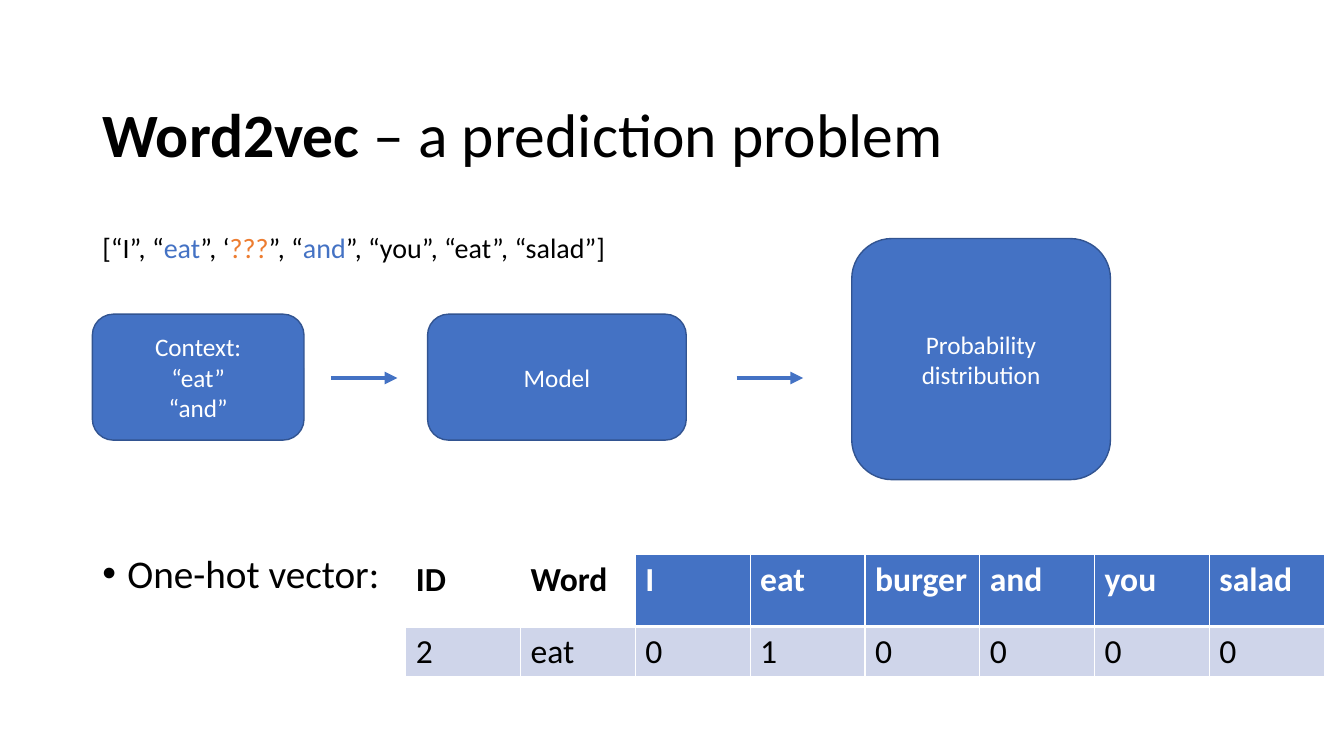
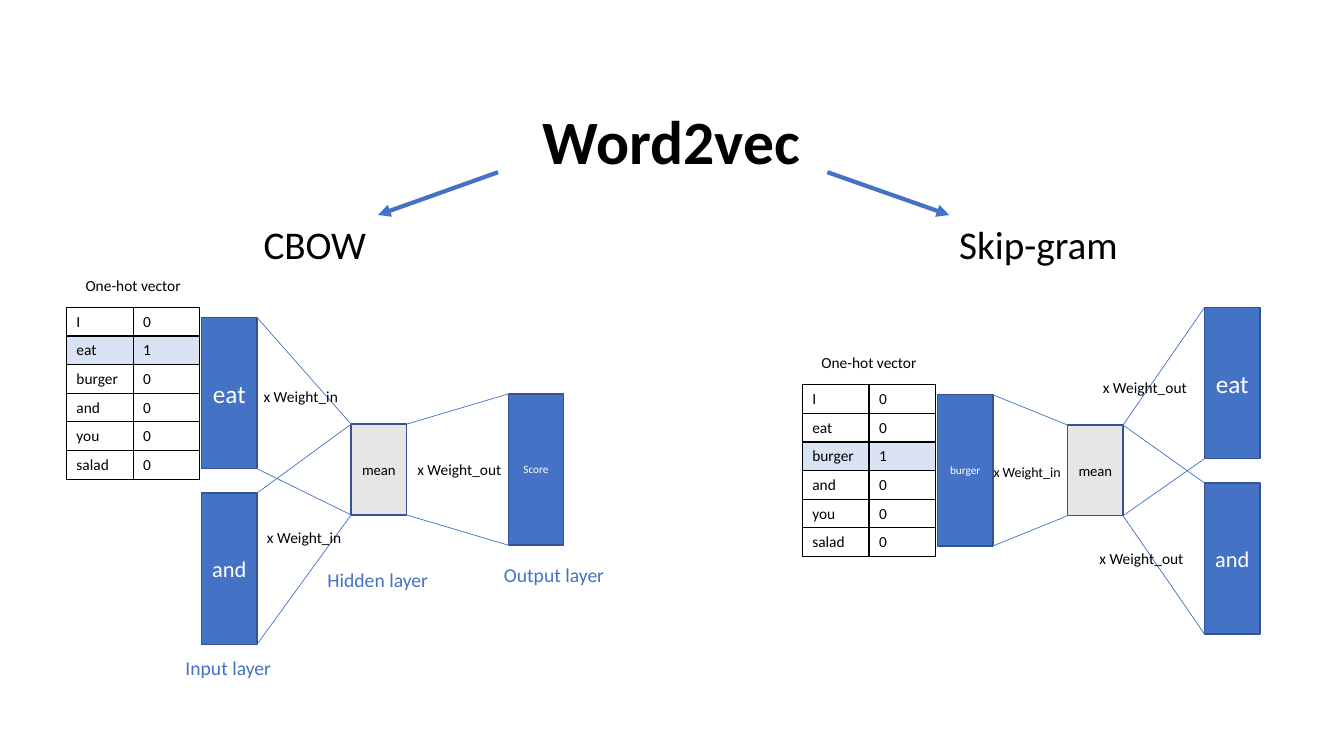
from dataclasses import dataclass

from lxml import etree
from pptx import Presentation
from pptx import util as u
from pptx.dml.color import RGBColor
from pptx.enum import shapes, text
from pptx.oxml import ns

# The slide is a grid of 160 columns by 90 rows; all lengths count its cells.
COLUMNS, ROWS, CELL = 160, 90, u.Inches(1) // 12


@dataclass(frozen=True)
class Theme:
    font: str = "Calibri"
    ink: str = "000000"
    paper: str = "FFFFFF"
    blue: str = "4472C4"
    edge: str = "325491"
    orange: str = "ED7D31"
    gray: str = "E7E6E6"
    band: str = "CFD5EA"
    highlight: str = "DAE3F3"
    title: float = 44
    heading: float = 28
    table: float = 24
    sentence: float = 20
    body: float = 18
    unit: float = 16
    layer: float = 14
    label: float = 11
    small_label: float = 10
    mean: float = 10.5
    tiny: float = 8


THEME = Theme()


def grid(*lengths):
    return [u.Emu(round(length * CELL)) for length in lengths]


def rgb(color):
    return RGBColor.from_string(color)


def add_xml(parent, tag, **attributes):
    return etree.SubElement(parent, ns.qn(tag), **attributes)


def write(frame, content, size, color=THEME.ink, bold=False, align="LEFT",
          spacing=None, bullet=False):
    """Write a string, one paragraph a line, or one paragraph of (text, changes) spans."""
    lines = content.split("\n") if isinstance(content, str) else [content]
    for index, line in enumerate(lines):
        para = frame.add_paragraph() if index else frame.paragraphs[0]
        para.alignment = getattr(text.PP_ALIGN, align)
        if spacing:
            para.line_spacing = spacing
        if bullet:
            properties = para._p.get_or_add_pPr()
            properties.set("marL", str(u.Inches(0.25)))
            properties.set("indent", str(-u.Inches(0.25)))
            add_xml(properties, "a:buFont", typeface="Arial")
            add_xml(properties, "a:buChar", char="•")
        for words, changes in [(line, {})] if isinstance(line, str) else line:
            style = {"color": color, "bold": bold, **changes}
            span = para.add_run()
            span.text = words
            span.font.name, span.font.size = THEME.font, u.Pt(size)
            span.font.bold = style["bold"]
            span.font.color.rgb = rgb(style["color"])


def set_borders(cell, color, **widths):
    """Draw the four sides, 1 pt unless widths names another for L, R, T or B."""
    properties = cell._tc.get_or_add_tcPr()
    for index, side in enumerate("LRTB"):
        line = etree.Element(ns.qn(f"a:ln{side}"), w=str(u.Pt(widths.get(side, 1))))
        add_xml(add_xml(line, "a:solidFill"), "a:srgbClr", val=color)
        properties.insert(index, line)


class Board:
    """The deck's style together with the slide being drawn."""

    def __init__(self):
        self.deck = Presentation()
        self.deck.slide_width, self.deck.slide_height = grid(COLUMNS, ROWS)
        self.page = None

    def new_page(self, title, left, top, width, height):
        self.page = self.deck.slides.add_slide(self.deck.slide_layouts[5])
        box = self.page.shapes.title
        box.left, box.top, box.width, box.height = grid(left, top, width, height)
        frame = box.text_frame
        frame.auto_size = text.MSO_AUTO_SIZE.NONE
        frame.vertical_anchor = text.MSO_ANCHOR.MIDDLE
        write(frame, title, THEME.title, spacing=0.9)

    def label(self, content, left, top, width, height, size=THEME.label,
              wrap=False, **style):
        box = self.page.shapes.add_textbox(*grid(left, top, width, height))
        frame = box.text_frame
        frame.word_wrap = wrap
        if not wrap:
            frame.auto_size = text.MSO_AUTO_SIZE.SHAPE_TO_FIT_TEXT
        write(frame, content, size, **style)

    def block(self, content, left, top, width, height, size=THEME.body,
              kind="RECTANGLE", fill=THEME.blue, color=THEME.paper, wrap=False):
        box = self.page.shapes.add_shape(
            getattr(shapes.MSO_SHAPE, kind), *grid(left, top, width, height))
        box.shadow.inherit = False
        box.fill.solid()
        box.fill.fore_color.rgb = rgb(fill)
        box.line.color.rgb = rgb(THEME.edge)
        box.line.width = u.Pt(1)
        box.text_frame.word_wrap = wrap
        box.text_frame.vertical_anchor = text.MSO_ANCHOR.MIDDLE
        write(box.text_frame, content, size, color=color, align="CENTER")
        return left, top, width, height

    def line(self, start, end, width=0.5, arrow=False):
        connector = self.page.shapes.add_connector(
            shapes.MSO_CONNECTOR.STRAIGHT, *grid(*start, *end))
        connector.line.color.rgb = rgb(THEME.blue)
        connector.line.width = u.Pt(width)
        properties = connector._element.spPr
        if arrow:
            add_xml(properties.find(ns.qn("a:ln")), "a:tailEnd", type="triangle")
        add_xml(properties, "a:effectLst")

    def arrow(self, start, end):
        self.line(start, end, width=3, arrow=True)

    def link(self, source, target):
        """Join the facing corners of two units, top to top and bottom to bottom."""
        left, top, width, height = source
        for share in (0, 1):
            self.line((left + width, top + share * height),
                      (target[0], target[1] + share * target[3]))

    def neuron(self, word, left, top, size=THEME.body):
        return self.block(word, left, top, 6.6, 18, size=size)

    def mean(self, left, top):
        return self.block("mean", left, top, 6.6, 10.8, size=THEME.mean,
                          fill=THEME.gray, color=THEME.ink)

    def table(self, rows, left, top, column, heights):
        """Add a plain table and yield its cells as (row, column, cell)."""
        count = len(rows[0])
        frame = self.page.shapes.add_table(
            len(rows), count, *grid(left, top, column * count, sum(heights)))
        table = frame.table
        table.first_row = table.horz_banding = False
        for each in table.columns:
            each.width = grid(column)[0]
        for row, height in enumerate(heights):
            table.rows[row].height = grid(height)[0]
            for index in range(count):
                yield row, index, table.cell(row, index)

    def word_table(self, rows, left, top, column, heights):
        for row, index, cell in self.table(rows, left, top, column, heights):
            header, colored = row == 0, row == 0 and index > 1
            cell.fill.solid()
            cell.fill.fore_color.rgb = rgb(
                THEME.blue if colored else THEME.paper if header else THEME.band)
            set_borders(cell, THEME.paper, **({"B": 3} if header else {"T": 3}))
            write(cell.text_frame, rows[row][index], THEME.table, bold=header,
                  color=THEME.paper if colored else THEME.ink)

    def one_hot(self, hot, left, top):
        rows = [(word, str(int(word == hot))) for word in VOCABULARY]
        for row, index, cell in self.table(rows, left, top, 7.95, [3.4] * len(rows)):
            if rows[row][0] == hot:
                cell.fill.solid()
                cell.fill.fore_color.rgb = rgb(THEME.highlight)
            else:
                cell.fill.background()
            set_borders(cell, THEME.ink)
            write(cell.text_frame, rows[row][index], THEME.label)
        self.label("One-hot vector", left + 1.1, top - 4.3, 13.8, 3.5)


VOCABULARY = ["I", "eat", "burger", "and", "you", "salad"]


def prediction_page(board):
    board.new_page([("Word2vec", {"bold": True}), (" – a prediction problem", {})],
                   11, 10.7, 138, 11.4)
    board.label("One-hot vector:", 11, 65.4, 138, 15.6, size=THEME.heading,
                wrap=True, spacing=0.9, bullet=True)
    board.word_table([["ID", "Word", *VOCABULARY],
                      ["2", "eat", *(str(int(word == "eat")) for word in VOCABULARY)]],
                     48.3, 66, 13.67, [8.6, 6])

    # Context, model and prediction
    for content, left, top, width, height in [
            ("Context:\n“eat”\n“and”", 11, 37.4, 25.2, 15),
            ("Model", 50.9, 37.4, 30.8, 15),
            ("Probability distribution", 101.4, 28.4, 30.8, 28.7)]:
        board.block(content, left, top, width, height,
                    kind="ROUNDED_RECTANGLE", wrap=True)
    for left in (39.4, 87.7):
        board.arrow((left, 45), (left + 7.9, 45))

    # Sentence with the missing word
    context, missing = {"color": THEME.blue}, {"color": THEME.orange}
    board.label([("[“I”, “", {}), ("eat", context), ("”, ‘", {}), ("???", missing),
                 ("”, “", {}), ("and", context),
                 ("”, “you”, “eat”, “salad”]", {})],
                11, 26.9, 62.8, 5.3, size=THEME.sentence)


def architecture_page(board):
    board.new_page([("Word2vec", {"bold": True})], 63.4, 11.5, 85, 11.5)
    board.label("CBOW", 30.2, 25.6, 14.8, 6.8, size=THEME.heading)
    board.label("Skip-gram", 113, 25.6, 21.5, 6.8, size=THEME.heading)
    board.arrow((59.3, 20.5), (45, 25.6))
    board.arrow((98.5, 20.5), (113, 25.6))

    # CBOW: two context words predict one
    mean = board.mean(41.8, 50.5)
    score = board.neuron("Score", 60.5, 46.9, THEME.tiny)
    for word, top, size in [("eat", 37.8, THEME.body), ("and", 58.7, THEME.unit)]:
        board.link(board.neuron(word, 24, top, size), mean)
    board.link(mean, score)
    board.one_hot("eat", 7.9, 36.6)
    for name, left, top, width in [("Hidden", 37.8, 67, 14.5),
                                   ("Input", 20.9, 77.5, 12.7),
                                   ("Output", 58.8, 66.4, 14.5)]:
        board.label(f"{name} layer", left, top, width, 4.1,
                    size=THEME.layer, color=THEME.blue)

    # Skip-gram: one word predicts its two context words
    mean = board.mean(127.1, 50.6)
    board.link(board.neuron("burger", 111.6, 47, THEME.tiny), mean)
    for word, top, size in [("eat", 36.6, THEME.body), ("and", 57.5, THEME.unit)]:
        board.link(mean, board.neuron(word, 143.4, top, size))
    board.one_hot("burger", 95.5, 45.8)

    # Weights on the links
    for side, left, top, width, size in [
            ("in", 30.2, 45.5, 11.4, THEME.label),
            ("in", 30.6, 62.3, 11.4, THEME.label),
            ("out", 48.5, 54.2, 12.6, THEME.label),
            ("in", 117.1, 54.6, 10.6, THEME.small_label),
            ("out", 130.1, 44.4, 12.6, THEME.label),
            ("out", 129.7, 64.8, 12.6, THEME.label)]:
        board.label(f"x Weight_{side}", left, top, width, 3.5, size=size)


def main():
    board = Board()
    prediction_page(board)
    architecture_page(board)
    board.deck.save("out.pptx")


if __name__ == "__main__":
    main()
